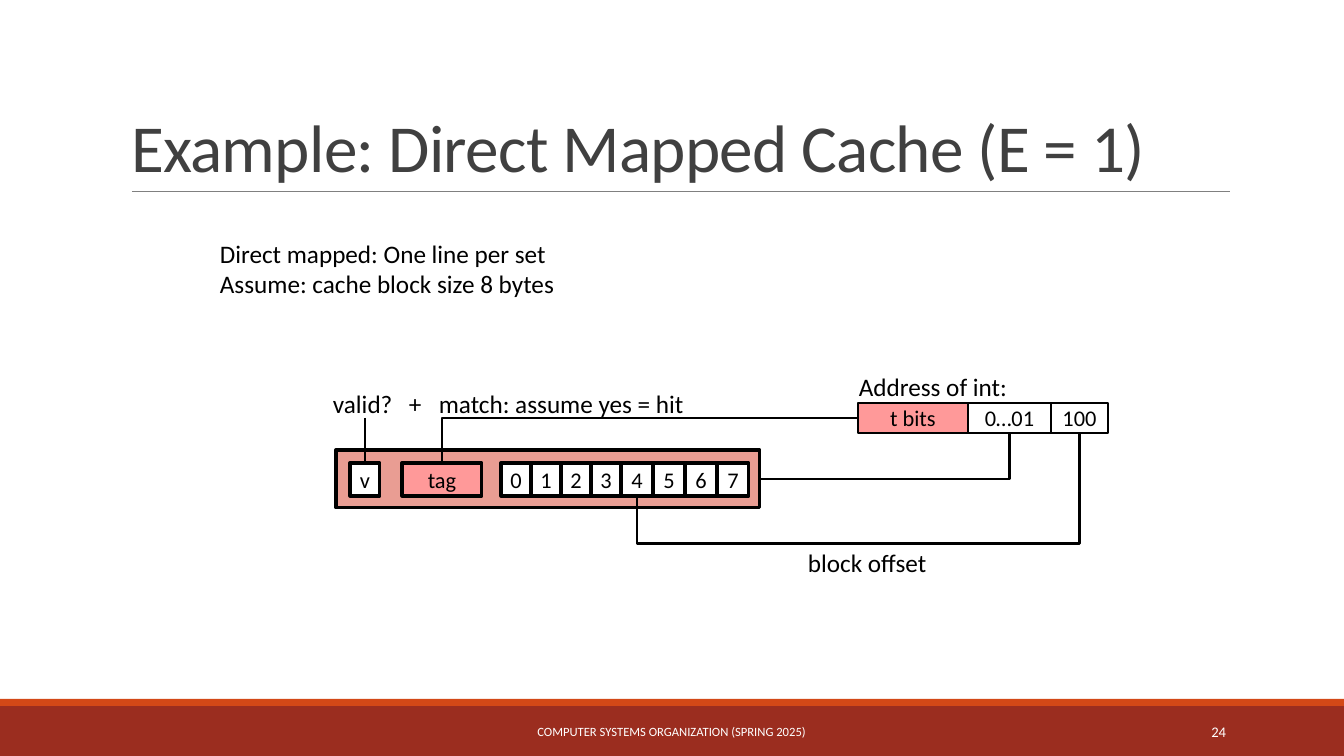
from pptx import Presentation
from pptx.dml.color import RGBColor
from pptx.enum.shapes import MSO_CONNECTOR, MSO_SHAPE
from pptx.enum.text import MSO_ANCHOR, MSO_AUTO_SIZE, PP_ALIGN
from pptx.oxml.ns import qn
from pptx.util import Pt
from lxml import etree

RECT = MSO_SHAPE.RECTANGLE
STRAIGHT, ELBOW = MSO_CONNECTOR.STRAIGHT, MSO_CONNECTOR.ELBOW
LEFT, CENTER, RIGHT = PP_ALIGN.LEFT, PP_ALIGN.CENTER, PP_ALIGN.RIGHT
TOP, MIDDLE, BOTTOM = MSO_ANCHOR.TOP, MSO_ANCHOR.MIDDLE, MSO_ANCHOR.BOTTOM
NO_AUTOFIT = MSO_AUTO_SIZE.NONE

EMU_PER_PX = 914400 / 100.8
SIDE_TOP, SIDE_LEFT, SIDE_BOTTOM, SIDE_RIGHT = range(4)
BLACK, WHITE, PINK = "000000", "FFFFFF", "FF9999"


def px(n):
    """Turn pixels into EMU."""
    return round(n * EMU_PER_PX)


def color(value):
    """Turn a hex string into a colour."""
    return RGBColor.from_string(value)


def write(sp, text, size, font_color=BLACK, align=LEFT, anchor=TOP, wrap=True):
    """Fill a shape with formatted paragraphs, one per line of text."""
    tf = sp.text_frame
    frame_format = {"word_wrap": wrap, "auto_size": NO_AUTOFIT, "vertical_anchor": anchor}
    for name, value in frame_format.items():
        setattr(tf, name, value)
    tf.text = text
    font_format = {"name": "Calibri", "size": Pt(size), "bold": False}
    for p in tf.paragraphs:
        p.alignment = align
        for r in p.runs:
            for name, value in font_format.items():
                setattr(r.font, name, value)
            r.font.color.rgb = color(font_color)
    return tf


def add_title(s, text, box):
    """Place and format the title placeholder."""
    sp = s.shapes.title
    for name, value in zip(("left", "top", "width", "height"), box):
        setattr(sp, name, px(value))
    p = write(sp, text, 48, "404040", anchor=BOTTOM).paragraphs[0]
    p.line_spacing = 0.85
    p.runs[0].font._element.set("spc", "-50")


def add_label(s, text, box, size=18, **text_format):
    """Add a text box."""
    sp = s.shapes.add_textbox(*map(px, box))
    return write(sp, text, size, **text_format)


def add_rect(s, box, fill, line=None, text=None):
    """Add a filled rectangle with an optional outline and centred text."""
    sp = s.shapes.add_shape(RECT, *map(px, box))
    sp.shadow.inherit = False
    sp.fill.solid()
    sp.fill.fore_color.rgb = color(fill)
    if line:
        sp.line.color.rgb = color(BLACK)
        sp.line.width = Pt(line)
    else:
        sp.line.fill.background()
    if text:
        write(sp, text, 16, align=CENTER, anchor=MIDDLE, wrap=False)
    return sp


def add_row(s, left, top, height, cells, line):
    """Add adjoining cells given as text, width and fill."""
    row = []
    for text, width, fill in cells:
        row.append(add_rect(s, (left, top, width, height), fill, line, text))
        left += width
    return row


def add_line(s, kind, start, end, line_color=BLACK, width=2):
    """Add a connector without a shadow."""
    c = s.shapes.add_connector(kind, *map(px, start + end))
    c.line.color.rgb = color(line_color)
    c.line.width = Pt(width)
    etree.SubElement(c._element.spPr, qn("a:effectLst"))
    return c


def side_point(sp, side):
    """Give the middle of a rectangle's side in EMU."""
    x, y = sp.left + sp.width // 2, sp.top + sp.height // 2
    return {
        SIDE_TOP: (x, sp.top),
        SIDE_LEFT: (sp.left, y),
        SIDE_BOTTOM: (x, sp.top + sp.height),
        SIDE_RIGHT: (sp.left + sp.width, y),
    }[side]


def add_elbow(s, begin, end, preset, bend=None):
    """Join two rectangle sides with a bent line that runs left."""
    c = add_line(s, ELBOW, (0, 0), (1, 1))
    c.begin_connect(*begin)
    c.end_connect(*end)
    (x1, y1), (x2, y2) = side_point(*begin), side_point(*end)
    across, down = x1 - x2, y2 - y1
    xfrm = c._element.spPr.find(qn("a:xfrm"))
    for name in ("flipH", "flipV"):
        xfrm.attrib.pop(name, None)
    if begin[1] == SIDE_BOTTOM:
        xfrm.set("rot", "5400000")
        width, height = down, across
    else:
        xfrm.set("flipH", "1")
        width, height = across, down
    c.left, c.top = (x1 + x2 - width) // 2, (y1 + y2 - height) // 2
    c.width, c.height = width, height
    geom = c._element.spPr.find(qn("a:prstGeom"))
    geom.set("prst", preset)
    if bend:
        guides = geom.find(qn("a:avLst"))
        etree.SubElement(guides, qn("a:gd"), name="adj1", fmla=f"val {bend}")


def add_tab(p, position):
    """Set one left tab stop on a paragraph."""
    tabs = etree.SubElement(p._p.get_or_add_pPr(), qn("a:tabLst"))
    etree.SubElement(tabs, qn("a:tab"), pos=str(px(position)), algn="l")


def add_frame(s):
    """Add the title, its rule and the footer."""
    add_rect(s, (0, 706, 1344, 50), "9B2D1F")
    add_rect(s, (0, 699, 1344, 7), "D34817")
    add_line(s, STRAIGHT, (132, 191), (1230, 191), "808080", 0.5)
    add_title(s, "Example: Direct Mapped Cache (E = 1)", (121, 31, 1109, 160))
    footer = {"font_color": WHITE, "anchor": MIDDLE}
    add_label(s, "COMPUTER SYSTEMS ORGANIZATION (SPRING 2025)", (406, 712, 531, 40),
              9, align=CENTER, **footer)
    add_label(s, "24", (1092, 712, 144, 40), 10.5, align=RIGHT, **footer)


def main():
    """Build the slide and save it."""
    prs = Presentation()
    prs.slide_width, prs.slide_height = px(1344), px(756)
    s = prs.slides.add_slide(prs.slide_layouts[5])
    add_frame(s)

    add_label(s, "Direct mapped: One line per set\nAssume: cache block size 8 bytes",
              (210, 233, 364, 72))
    add_label(s, "Address of int:", (849, 366, 173, 40))
    address = [("t bits", 110, PINK), ("0…01", 83, WHITE), ("100", 57, WHITE)]
    tag_bits, set_index, offset = add_row(s, 858, 403, 30, address, 1)

    cache_line = add_rect(s, (336, 450, 424, 58), "E99D93", 2.25)
    valid, = add_row(s, 350, 463, 33, [("v", 30, WHITE)], 2.25)
    tag, = add_row(s, 402, 463, 33, [("tag", 80, PINK)], 2.25)
    data = [(str(i), 30 if i < 4 else 32, WHITE) for i in range(8)]
    block = add_row(s, 501, 463, 33, data, 2.25)

    add_elbow(s, (set_index, SIDE_BOTTOM), (cache_line, SIDE_RIGHT), "bentConnector2")
    add_elbow(s, (tag_bits, SIDE_LEFT), (tag, SIDE_TOP), "bentConnector2")
    add_elbow(s, (offset, SIDE_BOTTOM), (block[4], SIDE_BOTTOM), "bentConnector3", 175100)
    add_line(s, STRAIGHT, (365, 418), (365, 463)).end_connect(valid, SIDE_TOP)

    add_label(s, "match: assume yes = hit", (429, 383, 272, 40))
    tf = add_label(s, "valid?\t+", (323, 383, 113, 40))
    add_tab(tf.paragraphs[0], 76)
    add_label(s, "block offset", (798, 542, 143, 40))
    prs.save("out.pptx")


if __name__ == "__main__":
    main()
